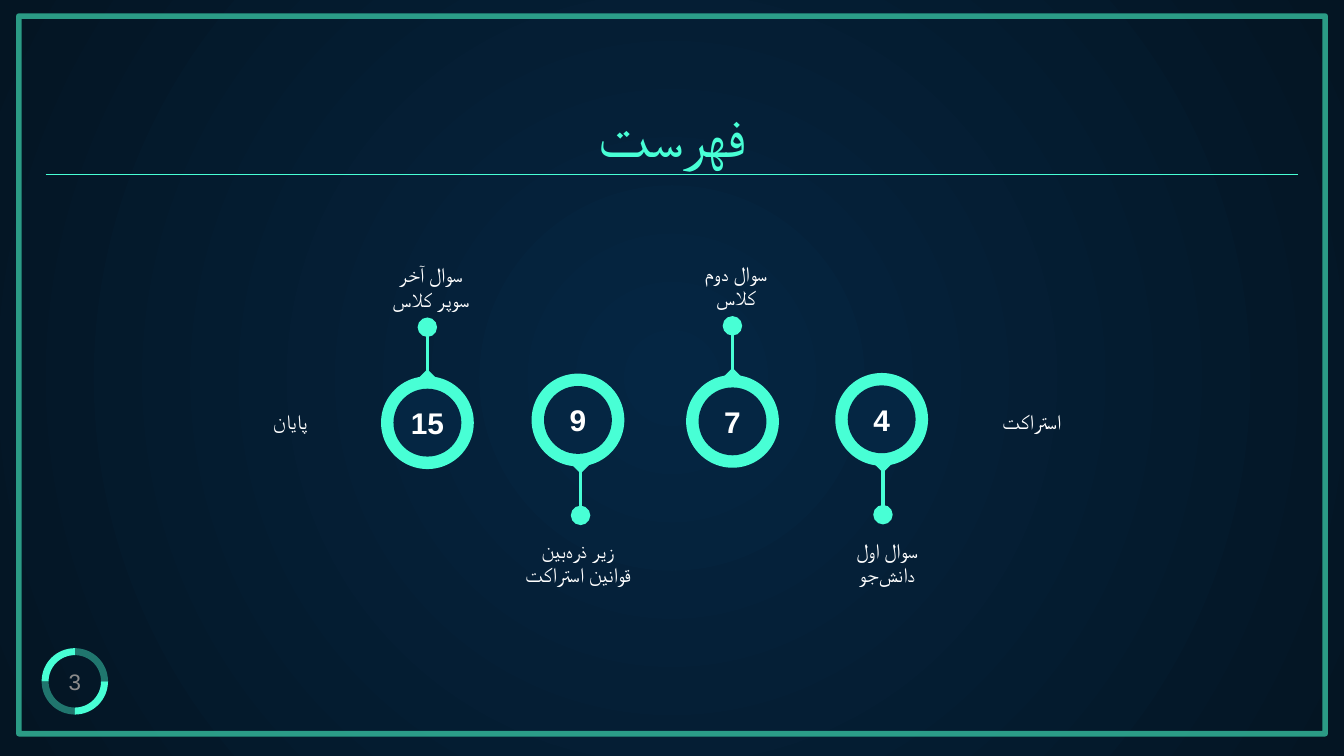
"""Build a dark timeline slide that lists the sections of a Persian talk."""
from dataclasses import dataclass
from math import cos, pi, sin

from lxml import etree
from pptx import Presentation
from pptx.dml.color import RGBColor
from pptx.enum.shapes import MSO_CONNECTOR, MSO_SHAPE
from pptx.enum.text import MSO_ANCHOR, MSO_AUTO_SIZE, PP_ALIGN
from pptx.oxml.ns import qn
from pptx.util import Emu, Inches, Pt

STRAIGHT = MSO_CONNECTOR.STRAIGHT
OVAL = MSO_SHAPE.OVAL
RECTANGLE = MSO_SHAPE.RECTANGLE
TRIANGLE = MSO_SHAPE.ISOSCELES_TRIANGLE
TOP, MIDDLE, BOTTOM = MSO_ANCHOR.TOP, MSO_ANCHOR.MIDDLE, MSO_ANCHOR.BOTTOM
LEFT, CENTER = PP_ALIGN.LEFT, PP_ALIGN.CENTER
FIT_SHAPE = MSO_AUTO_SIZE.SHAPE_TO_FIT_TEXT

SLIDE_WIDTH = Inches(10)
SLIDE_HEIGHT = SLIDE_WIDTH * 9 // 16
COLUMNS = 100
CELL = SLIDE_WIDTH / COLUMNS
NON_JOINER = chr(0x200C)


@dataclass(frozen=True)
class TextStyle:
    """Font, size and colour of a run."""
    font: str
    size: float
    color: str
    bold: bool = False


@dataclass(frozen=True)
class Theme:
    """Colours and type styles of the slide."""
    accent: str = "48FFD5"
    frame: str = "35BD9E"
    core: str = "052643"
    edge: str = "041523"
    title: TextStyle = TextStyle("Lato", 32, "48FFD5")
    label: TextStyle = TextStyle("Roboto", 11, "FFFFFF")
    number: TextStyle = TextStyle("Arial", 16, "FFFFFF", True)
    page: TextStyle = TextStyle("Arial", 12, "8C8C8C")


@dataclass(frozen=True)
class Box:
    """A rectangle in grid cells."""
    left: float
    top: float
    width: float
    height: float

    def lengths(self) -> list[Emu]:
        """Return left, top, width and height as slide lengths."""
        return [cells(n) for n in (self.left, self.top, self.width, self.height)]


@dataclass(frozen=True)
class Milestone:
    """A numbered ring with a pin that points up (-1) or down (1)."""
    number: str
    x: float
    y: float
    pin_x: float
    direction: int
    lines: tuple[str, ...]
    label: Box
    number_width: float = 3.3


THEME = Theme()
MILESTONES = (
    Milestone("7", 54.5, 31.35, 54.5, -1, ("سوال دوم", "کلاس"), Box(48.7, 18.4, 12.1, 5)),
    Milestone("4", 65.6, 31.2, 65.7, 1, ("سوال اول", f"دانش{NON_JOINER}جو"),
              Box(59, 39, 14, 4.5)),
    Milestone("15", 31.8, 31.45, 31.8, -1, ("سوال آخر", "سوپر کلاس"),
              Box(26, 18.5, 12.1, 4.5), 4.5),
    Milestone("9", 43, 31.25, 43.2, 1, (f"زیر ذره{NON_JOINER}بین", "قوانین استراکت"),
              Box(36, 39, 14, 4.5)),
)


def cells(count: float) -> Emu:
    """Convert grid cells to a slide length."""
    return Emu(round(count * CELL))


def centred(x: float, y: float, width: float, height: float) -> Box:
    """Return a box around a centre point."""
    return Box(x - width / 2, y - height / 2, width, height)


def set_alpha(shape, percent: int) -> None:
    """Make the colour of a shape partly transparent."""
    color = next(shape.element.spPr.iter(qn("a:srgbClr")))
    etree.SubElement(color, qn("a:alpha"), val=str(percent * 1000))


def paint(shape, color: str) -> None:
    """Give a shape a flat fill without line or shadow."""
    shape.shadow.inherit = False
    shape.fill.solid()
    shape.fill.fore_color.rgb = RGBColor.from_string(color)
    shape.line.fill.background()


def add_solid(page, kind, box: Box, color: str):
    """Add a filled preset shape."""
    shape = page.shapes.add_shape(kind, *box.lengths())
    paint(shape, color)
    return shape


def add_line(page, start: tuple, end: tuple, width: float) -> None:
    """Add a straight accent line."""
    line = page.shapes.add_connector(STRAIGHT, *map(cells, start + end))
    line.line.color.rgb = RGBColor.from_string(THEME.accent)
    line.line.width = Pt(width)
    etree.SubElement(line._element.spPr, qn("a:effectLst"))


def add_text(page, box: Box, lines: tuple, style: TextStyle, anchor=TOP,
             align=CENTER, rtl: bool = False, inset: float = 1, wrap: bool = True) -> None:
    """Add a text box with one paragraph per line."""
    shape = page.shapes.add_textbox(*box.lengths())
    frame = shape.text_frame
    frame.word_wrap = wrap
    frame.auto_size = None if wrap else FIT_SHAPE
    frame.vertical_anchor = anchor
    frame.margin_top = frame.margin_bottom = cells(inset)
    frame.margin_left = frame.margin_right = cells(1)
    for index, line in enumerate(lines):
        para = frame.add_paragraph() if index else frame.paragraphs[0]
        para.alignment = align
        if rtl:
            para._p.get_or_add_pPr().set("rtl", "1")
        span = para.add_run()
        span.text = line
        span.font.name = style.font
        span.font.size = Pt(style.size)
        span.font.bold = style.bold
        span.font.color.rgb = RGBColor.from_string(style.color)
        etree.SubElement(span._r.get_or_add_rPr(), qn("a:cs"), typeface=style.font)


def add_background(page) -> None:
    """Fill the background with a radial gradient."""
    fill = page.background.fill
    fill.gradient()
    for stop, color in zip(fill.gradient_stops, (THEME.core, THEME.edge)):
        stop.color.rgb = RGBColor.from_string(color)
    gradient = next(page.element.iter(qn("a:gradFill")))
    gradient.remove(gradient.find(qn("a:lin")))
    radial = etree.SubElement(gradient, qn("a:path"), path="circle")
    etree.SubElement(radial, qn("a:fillToRect"), dict.fromkeys("ltrb", "50000"))


def add_quarter_ring(page, x: float, y: float, quarter: int, steps: int = 16) -> None:
    """Add one quarter of the page number ring, faded when odd."""
    angles = [(quarter + step / steps) * pi / 2 for step in range(steps + 1)]
    outer = [(cells(x + 2.47 * cos(a)), cells(y + 2.47 * sin(a))) for a in angles]
    inner = [(cells(x + 1.95 * cos(a)), cells(y + 1.95 * sin(a))) for a in reversed(angles)]
    builder = page.shapes.build_freeform(*outer[0], scale=1.0)
    builder.add_line_segments(outer[1:] + inner, close=True)
    shape = builder.convert_to_shape()
    paint(shape, THEME.accent)
    if quarter % 2:
        set_alpha(shape, 41)


def add_frame(page) -> None:
    """Add the border around the slide."""
    border = page.shapes.add_shape(RECTANGLE, *Box(1.4, 1.2, 97.2, 53.4).lengths())
    border.shadow.inherit = False
    border.fill.background()
    border.line.color.rgb = RGBColor.from_string(THEME.frame)
    border.line.width = Pt(3)
    set_alpha(border, 80)


def add_milestone(page, item: Milestone) -> None:
    """Add the ring, pin, number and label of a milestone."""
    dot_y, tip_y, start_y, end_y = (item.y + item.direction * n for n in (7.1, 3.65, 3, 6.7))
    add_solid(page, OVAL, centred(item.pin_x, dot_y, 1.45, 1.45), THEME.accent)
    add_solid(page, OVAL, centred(item.x, item.y, 6.9, 6.9), THEME.accent)
    tip = add_solid(page, TRIANGLE, centred(item.pin_x, tip_y, 1.3, 0.65), THEME.accent)
    tip.rotation = 180 if item.direction > 0 else 0
    add_line(page, (item.pin_x, start_y), (item.pin_x, end_y), 1.95)
    add_solid(page, OVAL, centred(item.x, item.y, 5.05, 5.05), THEME.core)
    add_text(page, centred(item.x, item.y, item.number_width, 3.7), (item.number,),
             THEME.number, MIDDLE, inset=0.5, wrap=False)
    add_text(page, item.label, item.lines, THEME.label, rtl=True)


def main() -> None:
    """Build and save the deck."""
    deck = Presentation()
    deck.slide_width, deck.slide_height = SLIDE_WIDTH, SLIDE_HEIGHT
    page = deck.slides.add_slide(deck.slide_layouts[6])
    add_background(page)
    for quarter in range(4):
        add_quarter_ring(page, 5.57, 50.7, quarter)
    add_frame(page)
    add_text(page, centred(5.57, 50.7, 4.9, 4.9), ("3",), THEME.page, MIDDLE, inset=0.5)
    add_text(page, Box(3.4, 7, 93.2, 6.6), ("فهرست",), THEME.title, BOTTOM)
    add_line(page, (3.4, 13), (96.6, 13), 0.75)
    for item in MILESTONES:
        add_milestone(page, item)
    add_text(page, Box(73.6, 29.4, 8, 4.7), ("استراکت",), THEME.label, align=LEFT, rtl=True)
    add_text(page, Box(18.4, 29.4, 6.4, 3.3), ("پایان",), THEME.label, rtl=True)
    deck.save("out.pptx")


if __name__ == "__main__":
    main()
